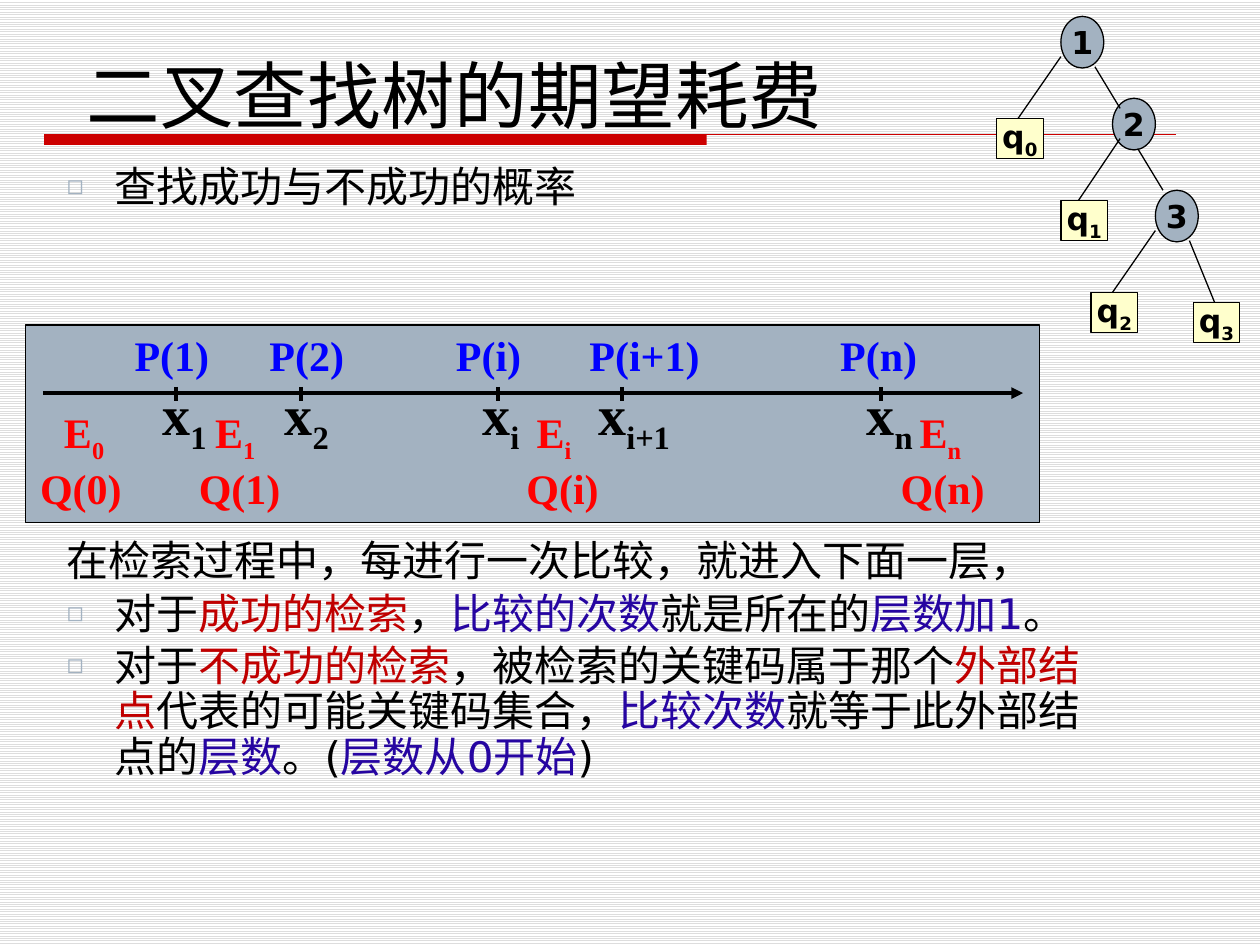
from lxml import etree
from pptx import Presentation
from pptx.dml.color import RGBColor
from pptx.enum.dml import MSO_PATTERN
from pptx.enum.shapes import MSO_CONNECTOR, MSO_SHAPE
from pptx.enum.text import MSO_ANCHOR, MSO_AUTO_SIZE, PP_ALIGN
from pptx.oxml.ns import qn
from pptx.util import Pt

STRAIGHT = MSO_CONNECTOR.STRAIGHT
RECT, OVAL = MSO_SHAPE.RECTANGLE, MSO_SHAPE.OVAL
LEFT, CENTER = PP_ALIGN.LEFT, PP_ALIGN.CENTER
MIDDLE, BOTTOM = MSO_ANCHOR.MIDDLE, MSO_ANCHOR.BOTTOM
FIXED, GROW = MSO_AUTO_SIZE.NONE, MSO_AUTO_SIZE.SHAPE_TO_FIT_TEXT
LIGHT_HORIZONTAL = MSO_PATTERN.LIGHT_HORIZONTAL

BLACK = RGBColor(0x00, 0x00, 0x00)
WHITE = RGBColor(0xFF, 0xFF, 0xFF)
STRIPE = RGBColor(0xDD, 0xDD, 0xDD)
RULE_RED = RGBColor(0xCC, 0x00, 0x00)
TERM_RED = RGBColor(0xC0, 0x00, 0x00)
TERM_BLUE = RGBColor(0x26, 0x05, 0xA1)
FAIL_RED = RGBColor(0xFF, 0x00, 0x00)
HIT_BLUE = RGBColor(0x00, 0x00, 0xFF)
SLATE = RGBColor(0xA3, 0xB2, 0xC1)
CREAM = RGBColor(0xFF, 0xFF, 0xCC)

SANS, SERIF = "DejaVu Sans", "Times New Roman"
PX = 9144


def px(*lengths):
    return [length * PX for length in lengths]


def write(paragraph, text, size=24, color=BLACK, font=SANS, bold=False, subscript=False):
    run = paragraph.add_run()
    run.text = text
    run.font.size = Pt(size)
    run.font.color.rgb = color
    run.font.name = font
    run.font.bold = bold
    if subscript:
        run._r.get_or_add_rPr().set("baseline", "-25000")


def write_indexed(paragraph, text, index, **style):
    write(paragraph, text, **style)
    if index:
        write(paragraph, index, subscript=True, **style)


def add_line(shapes, x1, y1, x2, y2, width=0.75, color=BLACK, arrow=False):
    line = shapes.add_connector(STRAIGHT, *px(x1, y1, x2, y2))
    line.line.color.rgb = color
    line.line.width = Pt(width)
    if arrow:
        etree.SubElement(line.line._get_or_add_ln(), qn("a:tailEnd"), type="triangle")
    etree.SubElement(line._element.spPr, qn("a:effectLst"))


def add_block(shapes, kind, box, fill, outline=BLACK):
    block = shapes.add_shape(kind, *px(*box))
    block.shadow.inherit = False
    block.fill.solid()
    block.fill.fore_color.rgb = fill
    if outline is None:
        block.line.fill.background()
    else:
        block.line.color.rgb = outline
        block.line.width = Pt(0.75)
    return block


def add_label(shapes, box, text, index="", **style):
    label = shapes.add_textbox(*px(*box))
    label.text_frame.word_wrap = False
    label.text_frame.auto_size = GROW
    write_indexed(label.text_frame.paragraphs[0], text, index,
                  font=SERIF, bold=True, **style)


def place(holder, box):
    holder.left, holder.top, holder.width, holder.height = px(*box)
    frame = holder.text_frame
    frame.word_wrap = True
    frame.auto_size = FIXED
    return frame


def fill_title(holder, box):
    frame = place(holder, box)
    frame.vertical_anchor = BOTTOM
    heading = frame.paragraphs[0]
    heading.alignment = LEFT
    write(heading, "二叉查找树的期望耗费", size=42, font=SERIF)


def format_item(paragraph, bulleted, before):
    pPr = paragraph._p.get_or_add_pPr()
    pPr.set("marL", str(38 * PX))
    pPr.set("indent", str(-38 * PX))
    if bulleted:
        tint = etree.SubElement(pPr, qn("a:buClr"))
        etree.SubElement(tint, qn("a:srgbClr"), val=str(SLATE))
        etree.SubElement(pPr, qn("a:buSzPct"), val="65000")
        etree.SubElement(pPr, qn("a:buChar"), char="◻")
    else:
        etree.SubElement(pPr, qn("a:buNone"))
    paragraph.alignment = LEFT
    paragraph.line_spacing = 0.9
    paragraph.space_before = Pt(before)


def fill_body(holder, box):
    items = [
        (True, 0, [("查找成功与不成功的概率", BLACK)]),
        (False, 188, [("在检索过程中，每进行一次比较，就进入下面一层，", BLACK)]),
        (True, 4, [("对于", BLACK), ("成功的检索", TERM_RED), ("，", BLACK),
                   ("比较的次数", TERM_BLUE), ("就是所在的", BLACK),
                   ("层数加1", TERM_BLUE), ("。", BLACK)]),
        (True, 4, [("对于", BLACK), ("不成功的检索", TERM_RED),
                   ("，被检索的关键码属于那个", BLACK), ("外部结点", TERM_RED),
                   ("代表的可能关键码集合，", BLACK), ("比较次数", TERM_BLUE),
                   ("就等于此外部结点的", BLACK), ("层数", TERM_BLUE), ("。(", BLACK),
                   ("层数从0开始", TERM_BLUE), (")", BLACK)]),
    ]
    frame = place(holder, box)
    for number, (bulleted, before, phrases) in enumerate(items):
        paragraph = frame.add_paragraph() if number else frame.paragraphs[0]
        format_item(paragraph, bulleted, before)
        for text, color in phrases:
            write(paragraph, text, color=color)


def draw_rule(shapes, left, top, width, height):
    add_block(shapes, RECT, (left, top, 526, height), RULE_RED, outline=None)
    add_line(shapes, left, top, left + width, top, color=RULE_RED)


def draw_key_axis(shapes, left, top, width, height):
    keys = [("1", 120, 99, 58, 77, 80), ("2", 219, 196, 58, 184, 80),
            ("i", 375, 353, 51, 332, 72), ("i+1", 474, 445, 83, 438, 108),
            ("n", 679, 658, 59, 637, 82)]
    gaps = [("0", 21, 54, 2, 86), ("1", 141, 54, 128, 86),
            ("i", 396, 49, 388, 78), ("n", 700, 55, 685, 88)]
    group = shapes.add_group_shape().shapes
    add_block(group, RECT, (left, top, width, height), SLATE)
    axis = top + 54
    add_line(group, left + 14, axis, left + width - 13, axis, width=2.25, arrow=True)
    for index, tick, key_x, key_w, hit_x, hit_w in keys:
        add_line(group, left + tick, axis - 5, left + tick, axis + 6, width=2.25)
        add_label(group, (left + key_x, top + 38, key_w, 64), "x", index, size=32)
        add_label(group, (left + hit_x, top - 1, hit_w, 50), f"P({index})", color=HIT_BLUE)
    for index, gap_x, gap_w, miss_x, miss_w in gaps:
        add_label(group, (left + gap_x, top + 60, gap_w, 50), "E", index, color=FAIL_RED)
        add_label(group, (left + miss_x, top + 104, miss_w, 50), f"Q({index})", color=FAIL_RED)


def draw_tree(shapes, left, top):
    nodes = [(OVAL, 34, 41, SLATE, "1", "", 51, 0),
             (OVAL, 34, 41, SLATE, "2", "", 92, 65),
             (OVAL, 34, 41, SLATE, "3", "", 126, 138),
             (RECT, 37, 32, CREAM, "q", "0", 0, 81),
             (RECT, 37, 32, CREAM, "q", "1", 51, 146),
             (RECT, 37, 32, CREAM, "q", "2", 75, 219),
             (RECT, 37, 32, CREAM, "q", "3", 156, 227)]
    edges = [(78, 40, 98, 73), (112, 105, 132, 138), (51, 32, 17, 81),
             (98, 97, 65, 146), (126, 170, 92, 219), (153, 178, 173, 227)]
    group = shapes.add_group_shape().shapes
    for kind, width, height, fill, text, index, x, y in nodes:
        node = add_block(group, kind, (left + x, top + y, width, height), fill)
        frame = node.text_frame
        frame.word_wrap = False
        frame.vertical_anchor = MIDDLE
        frame.paragraphs[0].alignment = CENTER
        write_indexed(frame.paragraphs[0], text, index, size=18, bold=True)
    for x1, y1, x2, y2 in edges:
        add_line(group, left + x1, top + y1, left + x2, top + y2)


def main():
    deck = Presentation()
    deck.slide_width, deck.slide_height = px(1000, 750)
    slide = deck.slides.add_slide(deck.slide_layouts[1])
    backdrop = slide.background.fill
    backdrop.patterned()
    backdrop.pattern = LIGHT_HORIZONTAL
    backdrop.fore_color.rgb = STRIPE
    backdrop.back_color.rgb = WHITE
    draw_rule(slide.shapes, 35, 107, 898, 8)
    fill_body(slide.placeholders[1], (43, 127, 850, 530))
    fill_title(slide.shapes.title, (59, 28, 803, 87))
    draw_key_axis(slide.shapes, 20, 258, 805, 157)
    draw_tree(slide.shapes, 791, 13)
    deck.save("out.pptx")


if __name__ == "__main__":
    main()
